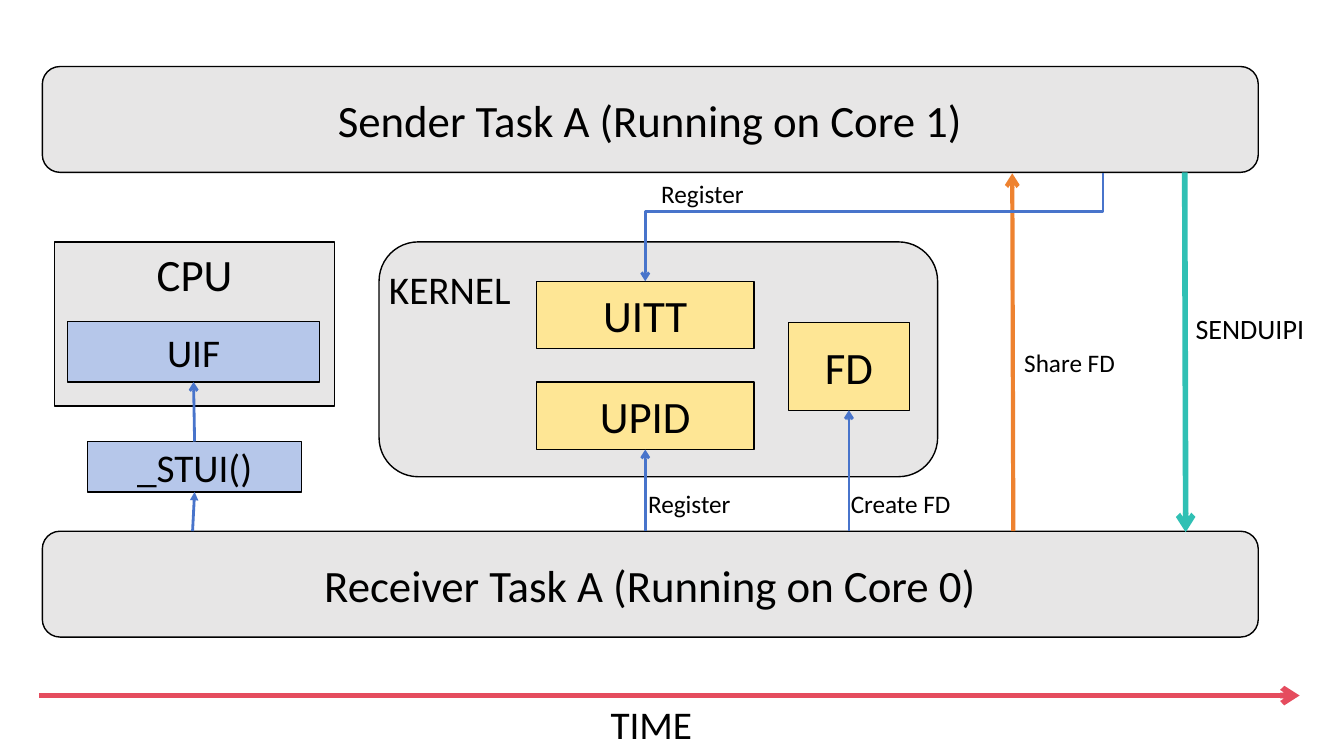
import pptx
import pptx.dml.color
import pptx.enum.shapes
import pptx.enum.text
import pptx.oxml
import pptx.oxml.ns
import pptx.util

Inches = pptx.util.Inches
Pt = pptx.util.Pt
ANCHOR = pptx.enum.text.MSO_ANCHOR
ALIGN = pptx.enum.text.PP_ALIGN
SHAPE = pptx.enum.shapes.MSO_SHAPE
ROUNDED = SHAPE.FLOWCHART_ALTERNATE_PROCESS
SQUARE = SHAPE.FLOWCHART_PROCESS
TOP, BOTTOM = 0, 2

BLACK, GREY, PALE_BLUE, YELLOW = "000000", "E7E6E6", "B6C7EA", "FEE695"
BLUE, ORANGE, TEAL, RED = "4874CB", "EE822F", "30C0B4", "E54C5E"

BOXES = [
    ("kernel", "", 3.76, 2.4, 5.54, 2.33, ROUNDED, GREY, 28, ANCHOR.MIDDLE),
    ("sender", "Sender Task A (Running on Core 1)", 0.42, 0.66, 12.06, 1.05, ROUNDED, GREY, 32, ANCHOR.MIDDLE),
    ("receiver", "Receiver Task A (Running on Core 0)", 0.42, 5.27, 12.06, 1.05, ROUNDED, GREY, 32, ANCHOR.MIDDLE),
    ("cpu", "CPU", 0.54, 2.4, 2.78, 1.63, SQUARE, GREY, 32, ANCHOR.TOP),
    ("uif", "UIF", 0.67, 3.19, 2.5, 0.6, SQUARE, PALE_BLUE, 28, ANCHOR.MIDDLE),
    ("stui", "_STUI()", 0.87, 4.38, 2.12, 0.5, SQUARE, PALE_BLUE, 28, ANCHOR.MIDDLE),
    ("uitt", "UITT", 5.32, 2.79, 2.16, 0.67, SQUARE, YELLOW, 32, ANCHOR.MIDDLE),
    ("upid", "UPID", 5.32, 3.79, 2.16, 0.67, SQUARE, YELLOW, 32, ANCHOR.MIDDLE),
    ("fd", "FD", 7.82, 3.2, 1.2, 0.87, SQUARE, YELLOW, 32, ANCHOR.MIDDLE),
]

LABELS = [
    ("TIME", 5.84, 6.9, 1.24, 0.57, 28, ALIGN.CENTER),
    ("KERNEL", 3.76, 2.58, 1.46, 0.57, 28, ALIGN.LEFT),
    ("Register", 6.33, 4.8, 1.27, 0.4, 18, ALIGN.LEFT),
    ("Create FD", 8.34, 4.8, 1.24, 0.4, 18, ALIGN.LEFT),
    ("Share FD", 10.06, 3.4, 1.28, 0.4, 18, ALIGN.LEFT),
    ("Register", 6.46, 1.72, 1.13, 0.4, 18, ALIGN.LEFT),
    ("SENDUIPI", 11.76, 3.04, 1.33, 0.44, 20, ALIGN.LEFT),
]

ARROWS = [
    ((0.39, 6.9), (12.89, 6.9), RED, 4, "arrow", None, None),
    ((1.91, 5.27), (1.93, 4.88), BLUE, 2, "triangle", None, ("stui", BOTTOM)),
    ((1.93, 4.38), (1.92, 3.79), BLUE, 2, "arrow", ("stui", TOP), ("uif", BOTTOM)),
    ((6.4, 5.27), (6.4, 4.46), BLUE, 2, "arrow", None, ("upid", BOTTOM)),
    ((8.42, 5.27), (8.42, 4.07), BLUE, 2, "arrow", None, ("fd", BOTTOM)),
    ((10.05, 5.27), (10.04, 1.72), ORANGE, 3, "arrow", None, None),
    ((11.75, 1.71), (11.76, 5.28), TEAL, 4, "arrow", None, None),
]

REGISTER_ROUTE = [(10.94, 1.72), (10.94, 2.1), (6.4, 2.1), (6.4, 2.79)]


def color(value):
    return pptx.dml.color.RGBColor.from_string(value)


def write(shape, text, size, alignment, anchor):
    frame = shape.text_frame
    frame.word_wrap = True
    frame.vertical_anchor = anchor
    paragraph = frame.paragraphs[0]
    paragraph.text = text
    paragraph.alignment = alignment
    paragraph.font.name = "Calibri"
    paragraph.font.size = Pt(size)
    paragraph.font.color.rgb = color(BLACK)


def style_line(line, value, width):
    line.color.rgb = color(value)
    line.width = Pt(width)


def add_arrowhead(shape, kind):
    outline = shape._element.spPr.find(pptx.oxml.ns.qn("a:ln"))
    tail = pptx.oxml.parse_xml(f'<a:tailEnd {pptx.oxml.ns.nsdecls("a")} type="{kind}"/>')
    outline.append(tail)


def add_box(slide, text, left, top, width, height, preset, fill, size, anchor):
    box = slide.shapes.add_shape(preset, Inches(left), Inches(top), Inches(width), Inches(height))
    box.shadow.inherit = False
    box.fill.solid()
    box.fill.fore_color.rgb = color(fill)
    style_line(box.line, BLACK, 1)
    if text:
        write(box, text, size, ALIGN.CENTER, anchor)
    return box


def add_arrow(slide, boxes, start, end, value, width, kind, source, target):
    points = [Inches(number) for number in start + end]
    arrow = slide.shapes.add_connector(pptx.enum.shapes.MSO_CONNECTOR.STRAIGHT, *points)
    if source:
        arrow.begin_connect(boxes[source[0]], source[1])
    if target:
        arrow.end_connect(boxes[target[0]], target[1])
    style_line(arrow.line, value, width)
    add_arrowhead(arrow, kind)
    arrow._element.spPr.append(pptx.oxml.parse_xml(f'<a:effectLst {pptx.oxml.ns.nsdecls("a")}/>'))


def add_route(slide, points):
    first, *rest = [(Inches(x), Inches(y)) for x, y in points]
    builder = slide.shapes.build_freeform(*first)
    builder.add_line_segments(rest, close=False)
    route = builder.convert_to_shape()
    route.shadow.inherit = False
    route.fill.background()
    style_line(route.line, BLUE, 2)
    add_arrowhead(route, "arrow")


def main():
    presentation = pptx.Presentation()
    presentation.slide_width = Inches(13.33)
    presentation.slide_height = Inches(7.5)
    slide = presentation.slides.add_slide(presentation.slide_layouts[6])
    boxes = {name: add_box(slide, *details) for name, *details in BOXES}
    for arrow in ARROWS:
        add_arrow(slide, boxes, *arrow)
    add_route(slide, REGISTER_ROUTE)
    for text, left, top, width, height, size, alignment in LABELS:
        label = slide.shapes.add_textbox(Inches(left), Inches(top), Inches(width), Inches(height))
        write(label, text, size, alignment, ANCHOR.TOP)
    presentation.save("out.pptx")


if __name__ == "__main__":
    main()
